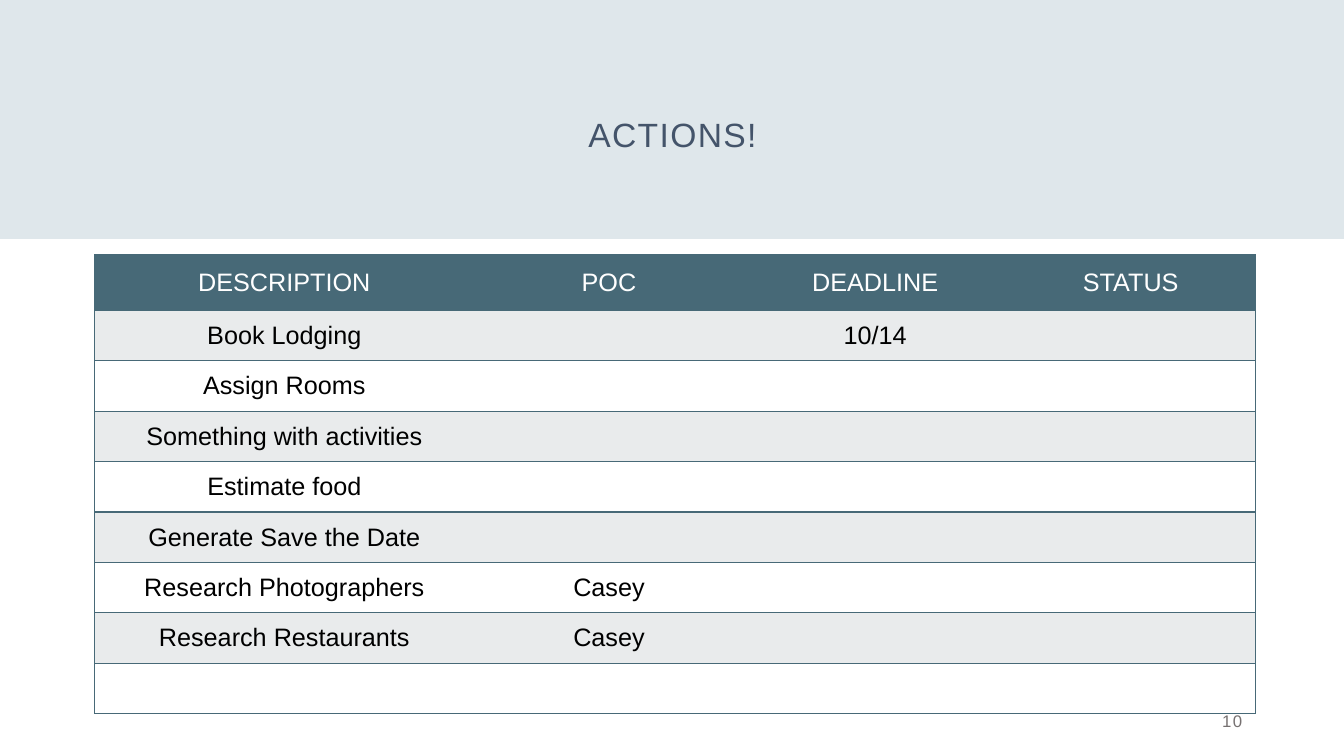
from lxml.etree import SubElement
from pptx import Presentation
from pptx.dml.color import RGBColor
from pptx.enum.shapes import MSO_SHAPE
from pptx.enum.text import MSO_ANCHOR, MSO_AUTO_SIZE, PP_ALIGN
from pptx.oxml.ns import qn
from pptx.util import Inches, Pt

COLORS = {
    "band": "D7E2E7", "title": "44546A", "teal": "476977", "stripe": "E9EBEC",
    "white": "FFFFFF", "black": "000000", "number": "767171",
}
COLUMN_WIDTHS = [3.76, 2.68, 2.6, 2.47]
HEADER_HEIGHT, ROW_HEIGHT = 0.55, 0.5
ACTIONS = [
    ["DESCRIPTION", "POC", "DEADLINE", "STATUS"],
    ["Book Lodging", "", "10/14", ""],
    ["Assign Rooms", "", "", ""],
    ["Something with activities", "", "", ""],
    ["Estimate food", "", "", ""],
    ["Generate Save the Date", "", "", ""],
    ["Research Photographers", "Casey", "", ""],
    ["Research Restaurants", "Casey", "", ""],
    ["", "", "", ""],
]


def color(name):
    return RGBColor.from_string(COLORS[name])


def write(frame, text, size, color_name, align, spacing=None):
    """Fill a text frame with one formatted run; spacing is in points."""
    paragraph = frame.paragraphs[0]
    paragraph.alignment = align
    run = paragraph.add_run()
    run.text = text
    for name, value in {"name": "Arial", "size": Pt(size), "bold": False}.items():
        setattr(run.font, name, value)
    run.font.color.rgb = color(color_name)
    if spacing:
        run._r.get_or_add_rPr().set("spc", str(spacing * 100))


def format_frame(frame, anchor):
    settings = {"word_wrap": True, "auto_size": MSO_AUTO_SIZE.NONE,
                "vertical_anchor": anchor}
    for name, value in settings.items():
        setattr(frame, name, value)


def add_title(slide, text):
    title = slide.shapes.title
    place = {"left": 0.92, "top": 0.26, "width": 11.5, "height": 1.33}
    for name, value in place.items():
        setattr(title, name, Inches(value))
    format_frame(title.text_frame, MSO_ANCHOR.BOTTOM)
    write(title.text_frame, text, 24, "title", PP_ALIGN.CENTER, spacing=1)
    title.text_frame.paragraphs[0].line_spacing = 0.9


def add_band(slide, width):
    """Add the translucent header band behind the title."""
    band = slide.shapes.add_shape(MSO_SHAPE.RECTANGLE, 0, 0, width, Inches(2.37))
    band.shadow.inherit = False
    band.fill.solid()
    band.fill.fore_color.rgb = color("band")
    band.line.fill.background()
    tint = band.element.spPr.find(f"{qn('a:solidFill')}/{qn('a:srgbClr')}")
    SubElement(tint, qn("a:alpha"), val="80000")
    slide.shapes.title.element.addprevious(band.element)


def set_borders(cell, visible):
    """Draw the sides (L, R, T, B) in visible and clear the others."""
    properties = cell._tc.get_or_add_tcPr()
    for side in "LRTB":
        border = SubElement(properties, qn(f"a:ln{side}"), w=str(Pt(1)))
        if side in visible:
            fill = SubElement(border, qn("a:solidFill"))
            SubElement(fill, qn("a:srgbClr"), val=COLORS["teal"])
        else:
            SubElement(border, qn("a:noFill"))


def add_action_table(slide):
    row_count, column_count = len(ACTIONS), len(COLUMN_WIDTHS)
    height = HEADER_HEIGHT + ROW_HEIGHT * (row_count - 1)
    table = slide.shapes.add_table(
        row_count, column_count, Inches(0.94), Inches(2.53),
        Inches(sum(COLUMN_WIDTHS)), Inches(height)).table
    for column, width in zip(table.columns, COLUMN_WIDTHS):
        column.width = Inches(width)
    for r, action in enumerate(ACTIONS):
        table.rows[r].height = Inches(ROW_HEIGHT if r else HEADER_HEIGHT)
        background = ("stripe" if r % 2 else "white") if r else "teal"
        for c, text in enumerate(action):
            cell = table.cell(r, c)
            edges = {0: "L", column_count - 1: "R"}
            set_borders(cell, "TB" + edges.get(c, ""))
            cell.fill.solid()
            cell.fill.fore_color.rgb = color(background)
            cell.vertical_anchor = MSO_ANCHOR.MIDDLE
            if text:
                write(cell.text_frame, text, 18, "black" if r else "white",
                      PP_ALIGN.CENTER)


def add_page_number(slide, number):
    frame = slide.shapes.add_textbox(
        Inches(9.42), Inches(6.95), Inches(3), Inches(0.4)).text_frame
    format_frame(frame, MSO_ANCHOR.MIDDLE)
    write(frame, number, 12, "number", PP_ALIGN.RIGHT, spacing=1)


def main():
    deck = Presentation()
    deck.slide_width, deck.slide_height = Inches(13.33), Inches(7.5)
    slide = deck.slides.add_slide(deck.slide_layouts[5])
    add_band(slide, deck.slide_width)
    add_title(slide, "ACTIONS!")
    add_action_table(slide)
    add_page_number(slide, "10")
    deck.save("out.pptx")


if __name__ == "__main__":
    main()
